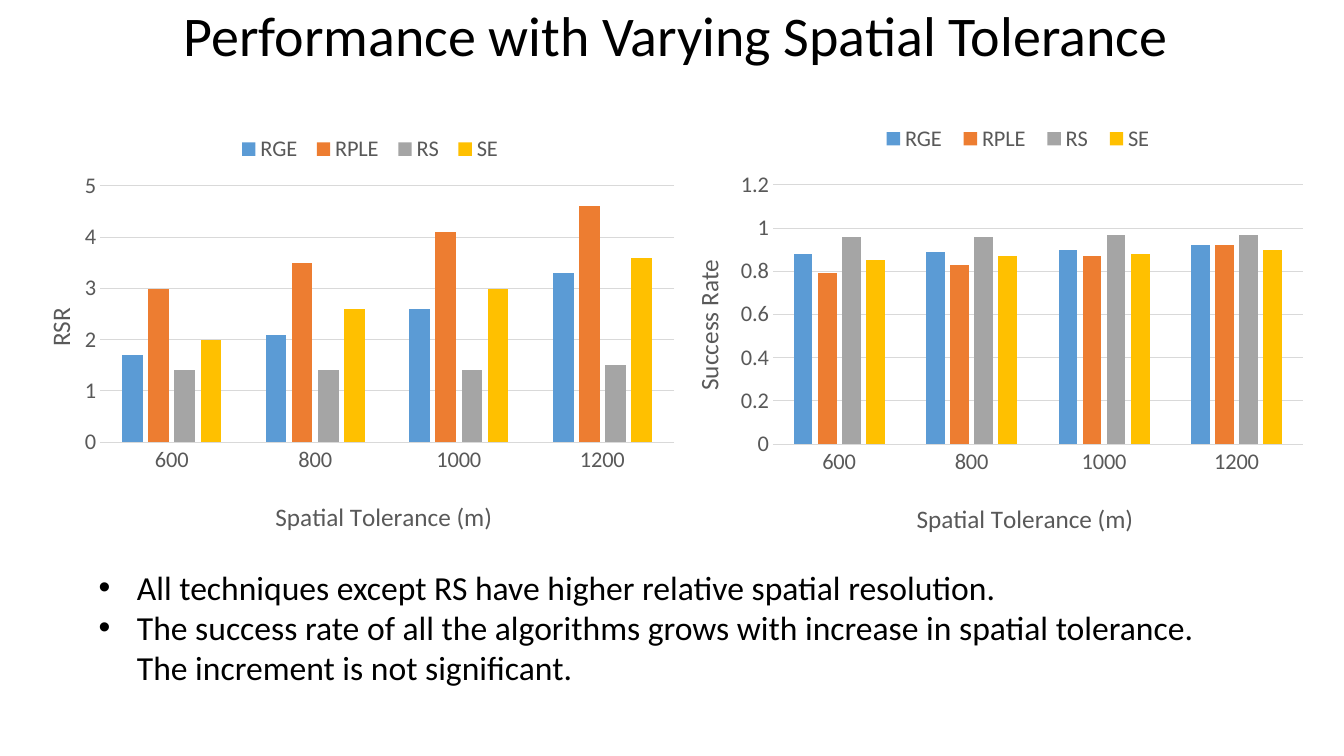
"""Build a slide comparing two performance metrics across spatial tolerances."""
from dataclasses import dataclass

from pptx import Presentation
from pptx.chart.data import CategoryChartData
from pptx.dml.color import RGBColor
from pptx.enum.chart import XL_CHART_TYPE, XL_LEGEND_POSITION, XL_TICK_MARK
from pptx.enum.text import MSO_ANCHOR, PP_ALIGN
from pptx.oxml import parse_xml
from pptx.oxml.ns import nsdecls, qn
from pptx.util import Inches, Pt

COLUMNS = XL_CHART_TYPE.COLUMN_CLUSTERED
LEGEND_BOTTOM = XL_LEGEND_POSITION.BOTTOM
NO_TICK = XL_TICK_MARK.NONE
BOTTOM, TOP = MSO_ANCHOR.BOTTOM, MSO_ANCHOR.TOP
CENTER = PP_ALIGN.CENTER

TITLE = "Performance with Varying Spatial Tolerance"
X_TITLE = "Spatial Tolerance (m)"
TOLERANCES = ["600", "800", "1000", "1200"]
BULLETS = [
    "All techniques except RS have higher relative spatial resolution.",
    "The success rate of all the algorithms grows with increase in spatial "
    "tolerance. The increment is not significant.",
]
CHARTS = [
    {
        "box": (0.11, 1.07, 6.78, 4.31),
        "y_title": "RSR", "y_max": 5, "y_step": 1,
        "plot": (0.13, 0.18, 0.84, 0.59),
        "legend": (0.32, 0.05, 0.41, 0.09),
        "x_at": (0.38, 0.89), "y_at": (0.04, 0.45),
        "series": {
            "RGE": (1.7, 2.1, 2.6, 3.3),
            "RPLE": (3, 3.5, 4.1, 4.6),
            "RS": (1.4, 1.4, 1.4, 1.5),
            "SE": (2, 2.6, 3, 3.6),
        },
    },
    {
        "box": (6.68, 1.05, 6.57, 4.36),
        "y_title": "Success Rate", "y_max": 1.2, "y_step": 0.2,
        "plot": (0.15, 0.18, 0.8, 0.59),
        "legend": (0.3, 0.03, 0.44, 0.09),
        "x_at": (0.36, 0.89), "y_at": (0.02, 0.34),
        "series": {
            "RGE": (0.88, 0.89, 0.9, 0.92),
            "RPLE": (0.79, 0.83, 0.87, 0.92),
            "RS": (0.96, 0.96, 0.97, 0.97),
            "SE": (0.85, 0.87, 0.88, 0.9),
        },
    },
]


@dataclass(frozen=True)
class Theme:
    font: str = "Calibri"
    text: str = "000000"
    label: str = "595959"
    grid: str = "D9D9D9"
    series: tuple = ("5B9BD5", "ED7D31", "A5A5A5", "FFC000")
    title_size: int = 40
    body_size: int = 24
    axis_title_size: int = 18
    label_size: int = 16


THEME = Theme()


def style_font(font, size, color):
    font.name, font.size, font.bold = THEME.font, Pt(size), False
    font.color.rgb = RGBColor.from_string(color)


def style_line(line):
    line.color.rgb = RGBColor.from_string(THEME.grid)
    line.width = Pt(0.75)


def add_run(p, text, size, color):
    r = p.add_run()
    r.text = text
    style_font(r.font, size, color)


def set_layout(parent, index, place, inner=False):
    for old in parent.findall(qn("c:layout")):
        parent.remove(old)
    target = '<c:layoutTarget val="inner"/>' if inner else ""
    modes = "".join(f'<c:{k}Mode val="edge"/>' for k in "xy")
    sizes = "".join(f'<c:{k} val="{v}"/>' for k, v in zip("xywh", place))
    parent.insert(index, parse_xml(
        f'<c:layout {nsdecls("c")}><c:manualLayout>{target}{modes}{sizes}'
        "</c:manualLayout></c:layout>"))


def style_axis(axis, title, place):
    axis.major_tick_mark = axis.minor_tick_mark = NO_TICK
    style_font(axis.tick_labels.font, THEME.label_size, THEME.label)
    p = axis.axis_title.text_frame.paragraphs[0]
    add_run(p, title, THEME.axis_title_size, THEME.label)
    set_layout(axis.axis_title.element, 1, place)


def add_metric_chart(s, metric):
    data = CategoryChartData()
    data.categories = TOLERANCES
    for name, values in metric["series"].items():
        data.add_series(name, values)
    box = map(Inches, metric["box"])
    chart = s.shapes.add_chart(COLUMNS, *box, data).chart
    chart.has_title = False
    chart.font.name, chart.font.size = THEME.font, Pt(10)

    plot = chart.plots[0]
    plot.gap_width, plot.overlap, plot.vary_by_categories = 219, -27, False
    for series, color in zip(plot.series, THEME.series):
        series.format.fill.solid()
        series.format.fill.fore_color.rgb = RGBColor.from_string(color)

    x_axis, y_axis = chart.category_axis, chart.value_axis
    style_axis(x_axis, X_TITLE, metric["x_at"])
    style_axis(y_axis, metric["y_title"], metric["y_at"])
    style_line(x_axis.format.line)
    y_axis.format.line.fill.background()
    style_line(y_axis.major_gridlines.format.line)
    y_axis.minimum_scale, y_axis.maximum_scale = 0, metric["y_max"]
    y_axis.major_unit = metric["y_step"]

    chart.has_legend = True
    chart.legend.position = LEGEND_BOTTOM
    chart.legend.include_in_layout = False
    style_font(chart.legend.font, THEME.label_size, THEME.label)
    set_layout(chart.element.xpath(".//c:legend")[0], 1, metric["legend"])
    set_layout(chart.element.xpath(".//c:plotArea")[0], 0, metric["plot"], True)


def add_title(s):
    sp = s.shapes.title
    sp.left, sp.top, sp.width, sp.height = map(Inches, (1.58, 0.09, 10.24, 0.64))
    tf = sp.text_frame
    tf.word_wrap, tf.vertical_anchor = True, BOTTOM
    p = tf.paragraphs[0]
    p.alignment, p.line_spacing = CENTER, 0.9
    add_run(p, TITLE, THEME.title_size, THEME.text)


def add_bullets(s):
    tf = s.shapes.add_textbox(*map(Inches, (0.88, 5.57, 11.5, 1.31))).text_frame
    tf.word_wrap, tf.vertical_anchor = True, TOP
    for i, text in enumerate(BULLETS):
        p = tf.add_paragraph() if i else tf.paragraphs[0]
        pPr = p._p.get_or_add_pPr()
        pPr.set("marL", str(Inches(0.38)))
        pPr.set("indent", str(Inches(-0.38)))
        pPr.append(parse_xml(f'<a:buFont {nsdecls("a")} typeface="Arial"/>'))
        pPr.append(parse_xml(f'<a:buChar {nsdecls("a")} char="•"/>'))
        add_run(p, text, THEME.body_size, THEME.text)


def main():
    prs = Presentation()
    prs.slide_width, prs.slide_height = Inches(13.33), Inches(7.5)
    s = prs.slides.add_slide(prs.slide_layouts[5])
    add_title(s)
    for metric in CHARTS:
        add_metric_chart(s, metric)
    add_bullets(s)
    prs.save("out.pptx")


if __name__ == "__main__":
    main()
